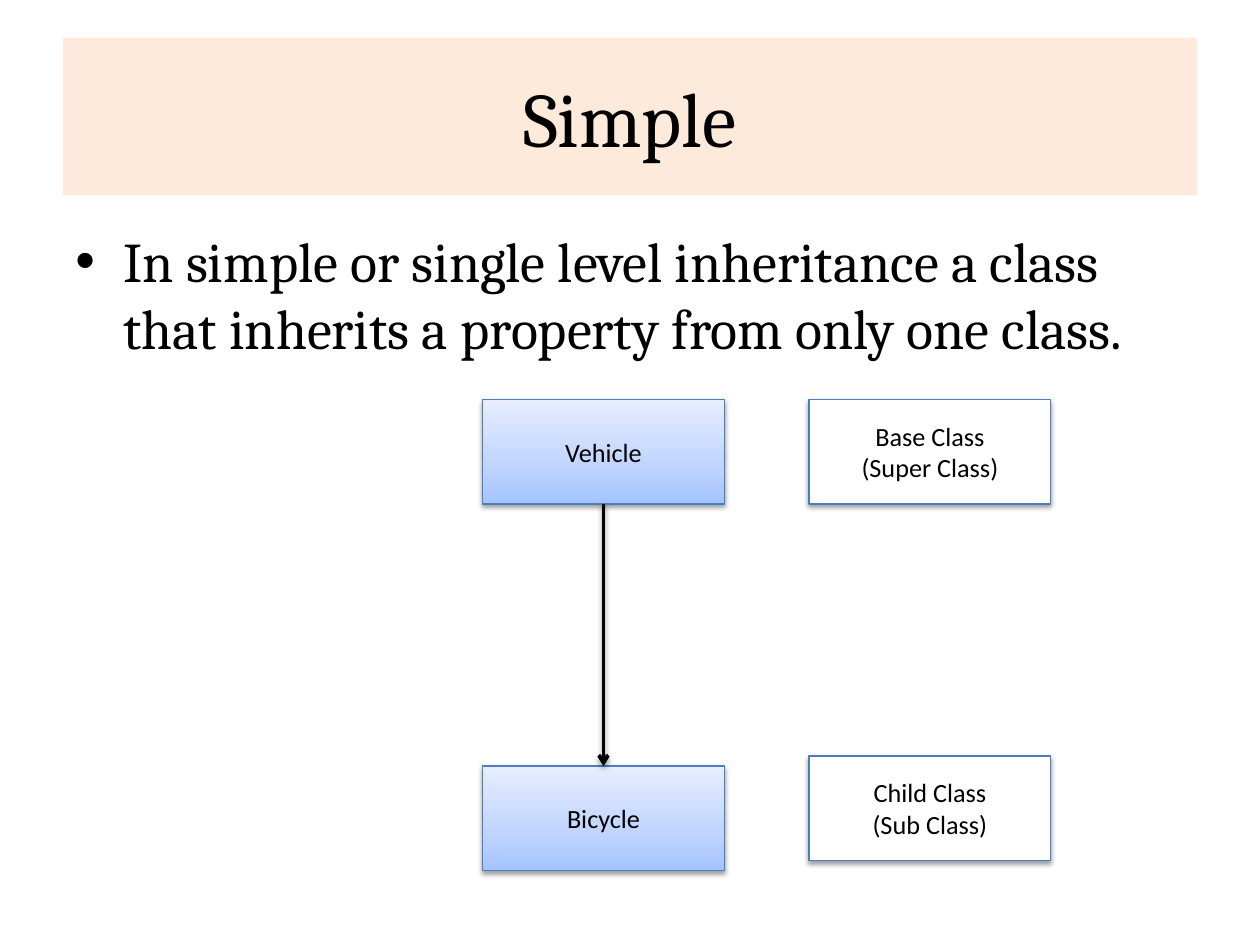
from lxml import etree
from pptx import Presentation
from pptx.dml.color import RGBColor
from pptx.enum.shapes import MSO_CONNECTOR, MSO_SHAPE
from pptx.enum.text import MSO_ANCHOR, PP_ALIGN
from pptx.oxml.ns import qn
from pptx.util import Inches, Pt

RECTANGLE = MSO_SHAPE.RECTANGLE
STRAIGHT = MSO_CONNECTOR.STRAIGHT
MIDDLE, TOP = MSO_ANCHOR.MIDDLE, MSO_ANCHOR.TOP
CENTER, LEFT = PP_ALIGN.CENTER, PP_ALIGN.LEFT
BOTTOM_SIDE, TOP_SIDE = 2, 0


def color(value):
    return RGBColor.from_string(value)


def add_element(parent, tag, **attributes):
    return etree.SubElement(parent, qn(tag), **attributes)


class SlideBuilder:
    heading_font, label_font = "Cambria", "Calibri"
    black, white, peach, outline = "000000", "FFFFFF", "FDEADA", "4B7EBC"
    gradient = ((0, "A4C4FF"), (35, "BFD4FF"), (100, "E6EEFF"))
    box_size = (1.92, 0.83)

    def __init__(self, slide):
        self.slide = slide

    def add_text(self, paragraph, text, font, size, alignment=CENTER):
        paragraph.alignment = alignment
        run = paragraph.add_run()
        run.text = text
        run.font.name = font
        run.font.size = Pt(size)
        run.font.color.rgb = color(self.black)

    def add_shadow(self, properties):
        """Put a soft downward shadow at the end of the shape properties."""
        effects = properties.find(qn("a:effectLst"))
        if effects is None:
            effects = add_element(properties, "a:effectLst")
        shadow = add_element(effects, "a:outerShdw", blurRad=str(Pt(3.1)), dist=str(Pt(1.6)),
                             dir="5400000", rotWithShape="0")
        tone = add_element(shadow, "a:srgbClr", val=self.black)
        add_element(tone, "a:alpha", val="38000")

    def fill_gradient(self, shape):
        shape.fill.gradient()
        shape.fill.gradient_angle = 90
        stops = shape.element.spPr.find(".//" + qn("a:gsLst"))
        for stop in list(stops):
            stops.remove(stop)
        for position, value in self.gradient:
            stop = add_element(stops, "a:gs", pos=str(position * 1000))
            add_element(stop, "a:srgbClr", val=value)

    def rectangle(self, left, top, width, height):
        shape = self.slide.shapes.add_shape(
            RECTANGLE, Inches(left), Inches(top), Inches(width), Inches(height))
        shape.shadow.inherit = False
        shape.text_frame.word_wrap = True
        shape.text_frame.vertical_anchor = MIDDLE
        return shape

    def title(self, text):
        shape = self.rectangle(0.5, 0.3, 9, 1.25)
        shape.fill.solid()
        shape.fill.fore_color.rgb = color(self.peach)
        shape.line.fill.background()
        self.add_text(shape.text_frame.paragraphs[0], text, self.heading_font, 44)

    def bullet(self, text):
        box = self.slide.shapes.add_textbox(Inches(0.5), Inches(1.75), Inches(9), Inches(4.95))
        frame = box.text_frame
        frame.word_wrap = True
        frame.vertical_anchor = TOP
        paragraph = frame.paragraphs[0]
        paragraph.space_before = Pt(6.4)
        self.add_text(paragraph, text, self.heading_font, 32, LEFT)
        properties = paragraph._p.get_or_add_pPr()
        indent = Inches(0.38)
        properties.set("marL", str(indent))
        properties.set("indent", str(-indent))
        add_element(properties, "a:buFont", typeface="Arial")
        add_element(properties, "a:buChar", char="•")

    def class_box(self, left, top, lines, shaded=False):
        shape = self.rectangle(left, top, *self.box_size)
        if shaded:
            self.fill_gradient(shape)
        else:
            shape.fill.solid()
            shape.fill.fore_color.rgb = color(self.white)
        shape.line.color.rgb = color(self.outline)
        shape.line.width = Pt(0.75)
        self.add_shadow(shape.element.spPr)
        frame = shape.text_frame
        for index, text in enumerate(lines):
            paragraph = frame.add_paragraph() if index else frame.paragraphs[0]
            self.add_text(paragraph, text, self.label_font, 15)
        return shape

    def arrow(self, upper, lower):
        connector = self.slide.shapes.add_connector(STRAIGHT, 0, 0, 0, 0)
        connector.begin_connect(upper, BOTTOM_SIDE)
        connector.end_connect(lower, TOP_SIDE)
        connector.line.color.rgb = color(self.black)
        connector.line.width = Pt(2)
        properties = connector._element.spPr
        add_element(properties.find(qn("a:ln")), "a:tailEnd", type="arrow")
        self.add_shadow(properties)


def main():
    presentation = Presentation()
    presentation.slide_width = Inches(10)
    presentation.slide_height = Inches(7.5)
    builder = SlideBuilder(presentation.slides.add_slide(presentation.slide_layouts[6]))

    builder.title("Simple")
    builder.bullet("In simple or single level inheritance a class "
                   "that inherits a property from only one class.")

    class_left, note_left, base_top = 3.83, 6.42, 3.17
    bicycle = builder.class_box(class_left, 6.08, ["Bicycle"], shaded=True)
    vehicle = builder.class_box(class_left, base_top, ["Vehicle"], shaded=True)
    builder.arrow(vehicle, bicycle)
    builder.class_box(note_left, base_top, ["Base Class", "(Super Class)"])
    builder.class_box(note_left, 6, ["Child Class", "(Sub Class)"])

    presentation.save("out.pptx")


if __name__ == "__main__":
    main()
